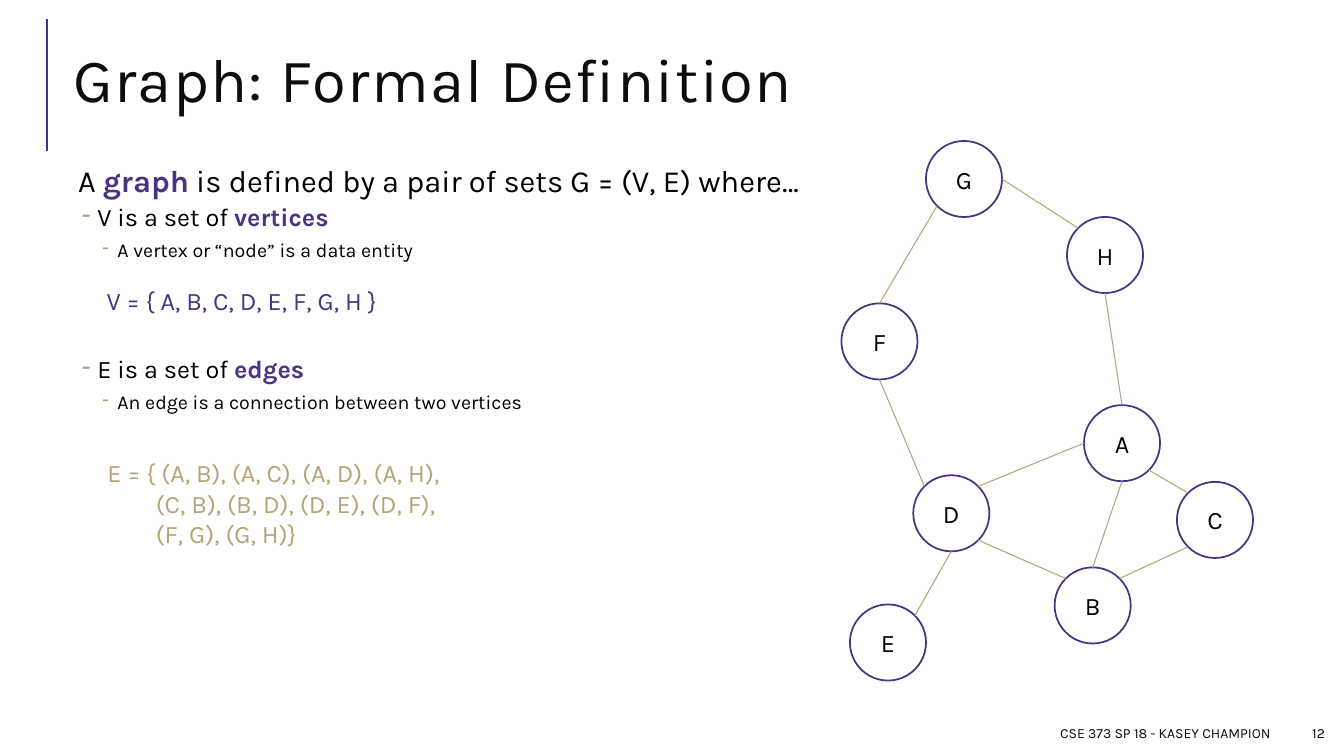
import math
from dataclasses import dataclass

from lxml import etree
from pptx import Presentation
from pptx import util as u
from pptx.dml.color import RGBColor
from pptx.enum import shapes, text
from pptx.oxml.ns import qn

FONT = "Karla"
COLORS = {"purple": "4C3282", "gold": "B6A479", "black": "000000", "ink": "0D0D0D"}

# The slide is a grid of 160 columns by 90 rows of square cells.
WIDTH, HEIGHT = u.Inches(13.33), u.Inches(7.5)
COLUMN, ROW = WIDTH / 160, HEIGHT / 90
DIAMETER = 9.06


@dataclass(frozen=True)
class Area:
    column: float
    row: float
    columns: float
    rows: float

    def lengths(self) -> tuple[int, ...]:
        return (round(self.column * COLUMN), round(self.row * ROW),
                round(self.columns * COLUMN), round(self.rows * ROW))


@dataclass(frozen=True)
class Vertex:
    column: float
    row: float

    def rim(self, degrees: float) -> tuple[float, float]:
        """Point on the circle, counted anticlockwise from its right side."""
        angle = math.radians(degrees)
        return (self.column + DIAMETER / 2 * math.cos(angle),
                self.row - DIAMETER / 2 * math.sin(angle))


@dataclass(frozen=True)
class Edge:
    start: str
    start_angle: int
    end: str
    end_angle: int


@dataclass(frozen=True)
class Point:
    spans: tuple[str, ...]  # every second span is a key term
    size: int
    margin: float
    bullet: str = ""
    before: int = 2
    after: int = 4


VERTICES = {
    "A": Vertex(133.57, 52.76), "B": Vertex(130.08, 72.08),
    "C": Vertex(144.64, 61.9), "D": Vertex(113.25, 61.11),
    "E": Vertex(105.71, 76.49), "F": Vertex(104.7, 40.65),
    "G": Vertex(114.76, 21.31), "H": Vertex(131.55, 30.36),
}
EDGES = [
    Edge("G", 0, "H", 135), Edge("G", 225, "F", 90),
    Edge("F", 270, "D", 135), Edge("D", 270, "E", 45),
    Edge("H", 270, "A", 90), Edge("A", 180, "D", 45),
    Edge("A", 270, "B", 90), Edge("D", 315, "B", 135),
    Edge("C", 225, "B", 45), Edge("A", 315, "C", 135),
]
POINTS = [
    Point(("A ", "graph", " is defined by a pair of sets G = (V, E) where…"),
          22, 0.1, before=0, after=2),
    Point(("V is a set of ", "vertices"), 18, 0.29, "-"),
    Point(("A vertex or “node” is a data entity",), 14, 0.49, "-"),
    Point(("E is a set of ", "edges"), 18, 0.29, "-", before=64),
    Point(("An edge is a connection between two vertices",), 14, 0.49, "-"),
]
EDGE_SET = ["E = { (A, B), (A, C), (A, D), (A, H),",
            "(C, B), (B, D), (D, E), (D, F),",
            "(F, G), (G, H)}"]


def rgb(name: str) -> RGBColor:
    return RGBColor.from_string(COLORS[name])


def style(font, size: float, color: str, bold: bool = False) -> None:
    font.name, font.size, font.bold = FONT, u.Pt(size), bold
    font.color.rgb = rgb(color)


def add_line(page, start, end, color: str, width: float) -> None:
    ends = [round(value) for column, row in (start, end)
            for value in (column * COLUMN, row * ROW)]
    line = page.shapes.add_connector(shapes.MSO_CONNECTOR.STRAIGHT, *ends)
    line.line.color.rgb = rgb(color)
    line.line.width = u.Pt(width)
    etree.SubElement(line._element.spPr, qn("a:effectLst"))


def add_text(page, area: Area, lines: list[str], size: float, color: str,
             align=text.PP_ALIGN.LEFT, anchor=text.MSO_ANCHOR.TOP):
    frame = page.shapes.add_textbox(*area.lengths()).text_frame
    frame.word_wrap = True
    frame.vertical_anchor = anchor
    frame.text = "\n".join(lines)
    for para in frame.paragraphs:
        para.alignment = align
        for span in para.runs:
            style(span.font, size, color)
    return frame


def add_title(page, area: Area, wording: str) -> None:
    title = page.shapes.title
    title.left, title.top, title.width, title.height = area.lengths()
    frame = title.text_frame
    frame.text = wording
    frame.word_wrap = True
    frame.auto_size = text.MSO_AUTO_SIZE.NONE
    frame.vertical_anchor = text.MSO_ANCHOR.MIDDLE
    para = frame.paragraphs[0]
    para.alignment = text.PP_ALIGN.LEFT
    para.line_spacing = 0.8
    span = para.runs[0]
    style(span.font, 44, "ink")
    span.font._element.set("spc", "100")


def set_indent(para, margin: float, first: float = 0):
    properties = para._p.get_or_add_pPr()
    properties.set("marL", str(u.Inches(margin)))
    properties.set("indent", str(u.Inches(first)))
    return properties


def add_points(page, area: Area, points: list[Point]) -> None:
    frame = page.shapes.add_textbox(*area.lengths()).text_frame
    frame.word_wrap = True
    frame.margin_left = frame.margin_right = u.Inches(0.05)
    frame.margin_top = frame.margin_bottom = u.Inches(0.05)
    for index, point in enumerate(points):
        para = frame.add_paragraph() if index else frame.paragraphs[0]
        properties = set_indent(para, point.margin, -0.15 if point.bullet else 0)
        if point.bullet:
            tint = etree.SubElement(properties, qn("a:buClr"))
            etree.SubElement(tint, qn("a:srgbClr"), val=COLORS["gold"])
            etree.SubElement(properties, qn("a:buChar"), char=point.bullet)
        para.line_spacing = 0.9
        para.space_before, para.space_after = u.Pt(point.before), u.Pt(point.after)
        for place, wording in enumerate(point.spans):
            is_term = place % 2 == 1
            span = para.add_run()
            span.text = wording
            style(span.font, point.size, "purple" if is_term else "black", is_term)


def add_vertex(page, name: str, vertex: Vertex) -> None:
    area = Area(vertex.column - DIAMETER / 2, vertex.row - DIAMETER / 2,
                DIAMETER, DIAMETER)
    circle = page.shapes.add_shape(shapes.MSO_SHAPE.OVAL, *area.lengths())
    circle.shadow.inherit = False
    circle.fill.background()
    circle.line.color.rgb = rgb("purple")
    circle.line.width = u.Pt(1.25)
    frame = circle.text_frame
    frame.text = name
    frame.vertical_anchor = text.MSO_ANCHOR.MIDDLE
    frame.paragraphs[0].alignment = text.PP_ALIGN.CENTER
    style(frame.paragraphs[0].runs[0].font, 18, "black")


def main() -> None:
    deck = Presentation()
    deck.slide_width, deck.slide_height = WIDTH, HEIGHT
    page = deck.slides.add_slide(deck.slide_layouts[5])

    add_line(page, (5.6, 18), (5.6, 2.25), "purple", 1.5)
    add_title(page, Area(7.5, 3.5, 146.8, 13.3), "Graph: Formal Definition")
    add_points(page, Area(7.5, 19.2, 90, 63.6), POINTS)
    for area, wording in ((Area(75, 85.5, 77.4, 3.6), "CSE 373 SP 18 - KASEY CHAMPION"),
                          (Area(153.4, 85.5, 5.5, 3.6), "12")):
        add_text(page, area, [wording], 10, "ink",
                 text.PP_ALIGN.RIGHT, text.MSO_ANCHOR.MIDDLE)

    for name, vertex in VERTICES.items():
        add_vertex(page, name, vertex)
    for edge in EDGES:
        add_line(page, VERTICES[edge.start].rim(edge.start_angle),
                 VERTICES[edge.end].rim(edge.end_angle), "gold", 0.75)

    add_text(page, Area(11.5, 33.4, 40, 4.8), ["V = { A, B, C, D, E, F, G, H }"],
             18, "purple")
    edge_set = add_text(page, Area(11.6, 53.9, 48, 12.1), EDGE_SET, 18, "gold")
    for para in edge_set.paragraphs[1:]:
        set_indent(para, 0.48)

    deck.save("out.pptx")


if __name__ == "__main__":
    main()
